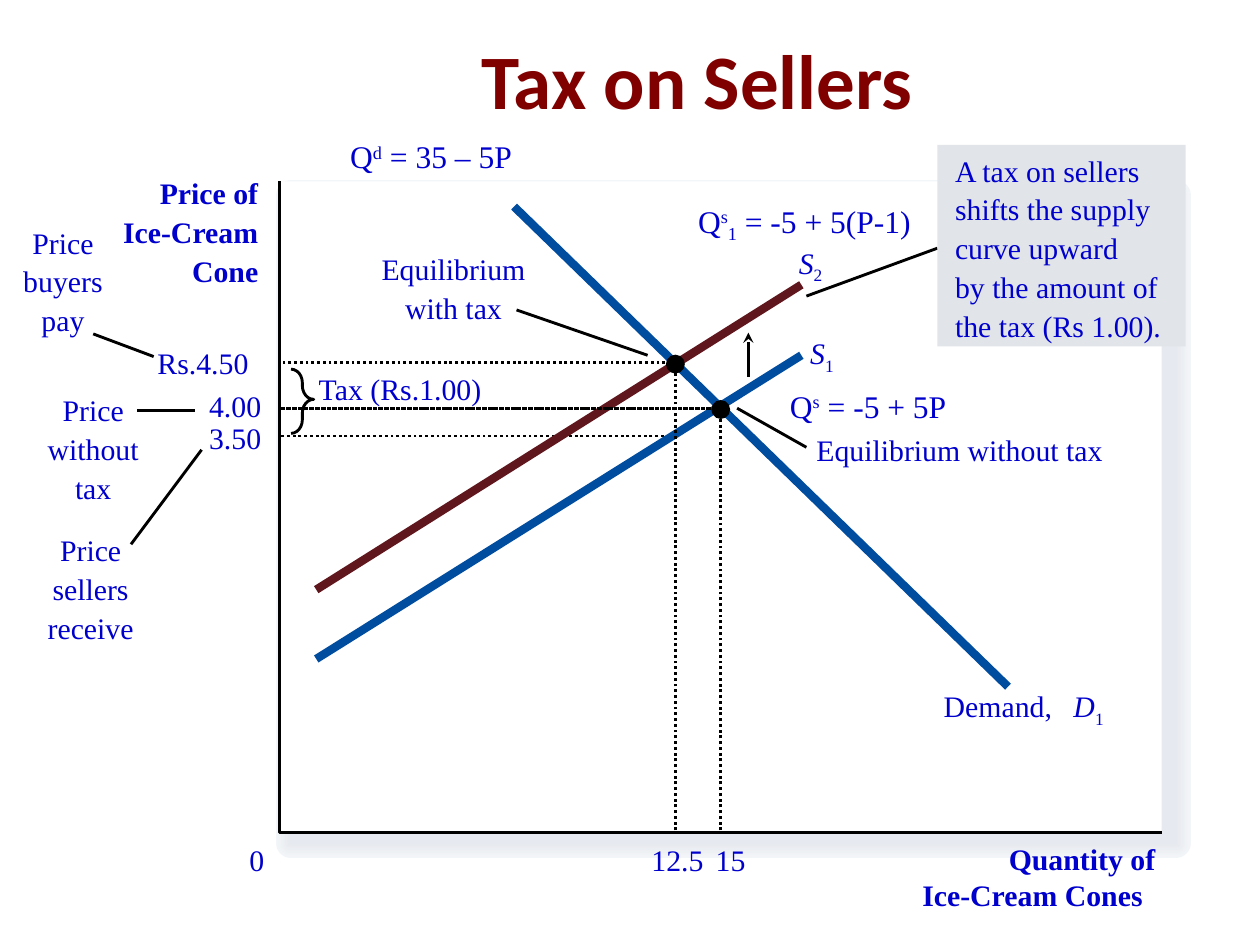
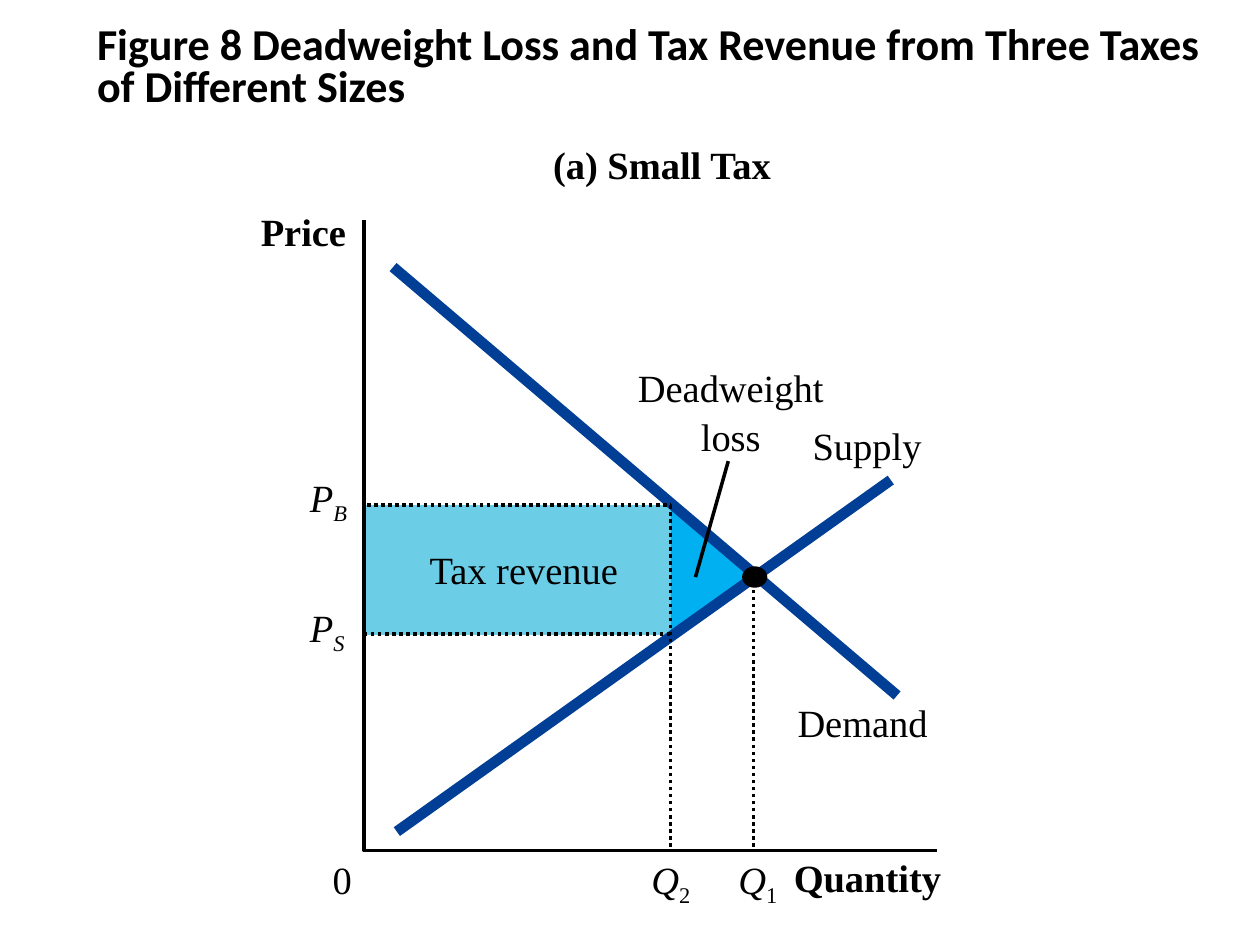
from lxml import etree
from pptx import Presentation
from pptx.dml.color import RGBColor
from pptx.enum.dml import MSO_LINE
from pptx.enum.shapes import MSO_CONNECTOR, MSO_SHAPE
from pptx.enum.text import MSO_ANCHOR, MSO_AUTO_SIZE, PP_ALIGN
from pptx.oxml.ns import qn
from pptx.util import Inches, Pt

LEFT, CENTER, RIGHT = PP_ALIGN.LEFT, PP_ALIGN.CENTER, PP_ALIGN.RIGHT
RECT, OVAL, BRACE = MSO_SHAPE.RECTANGLE, MSO_SHAPE.OVAL, MSO_SHAPE.RIGHT_BRACE
DOTTED = MSO_LINE.ROUND_DOT
TITLE_ONLY = 5

COLORS = {
    "black": "000000", "white": "FFFFFF", "title": "800000", "label": "0000CC",
    "curve": "004C9F", "taxed": "5F161D", "note": "E1E5E9",
    "navy": "003F95", "revenue": "6CCEE6", "loss": "00B0F0",
}
# Soft frame behind the first plot: line width and colour, widest first
FRAME = [(17.5, "F3F6F9"), (16, "F2F4F8"), (14.38, "F1F4F7"), (12.75, "F0F2F5"),
         (11.13, "EEF1F4"), (9.63, "EDEFF3"), (8, "EBEEF2"), (6.38, "EAECF1"),
         (4.75, "E9EBF0"), (3.25, "E7EAEF"), (1.63, "E6E9EF")]


def rgb(color):
    return RGBColor.from_string(COLORS.get(color, color))


def sub(text, italic=False):
    return text, {"baseline": -25, "italic": italic}


def sup(text):
    return text, {"baseline": 30}


def add_run(p, text, size=17, font="Times New Roman", color="black",
            bold=False, italic=False, baseline=0):
    r = p.add_run()
    r.text = text
    r.font.size, r.font.name = Pt(size), font
    r.font.bold, r.font.italic = bold, italic
    r.font.color.rgb = rgb(color)
    if baseline:
        r._r.get_or_add_rPr().set("baseline", str(baseline * 1000))


class Deck:
    """Holds the presentation, the current slide and its diagram style."""

    def __init__(self):
        self.prs = Presentation()
        self.prs.slide_width, self.prs.slide_height = Inches(10), Inches(7.5)

    def new_slide(self, size, color, width):
        """Start a slide with its label size, label colour and thin line width."""
        self.slide = self.prs.slides.add_slide(self.prs.slide_layouts[TITLE_ONLY])
        self.shapes = self.slide.shapes
        self.size, self.color, self.width = size, color, width

    def title(self, text, x, y, w, h, align=LEFT, spacing=1.0, **fmt):
        sp = self.shapes.title
        sp.left, sp.top, sp.width, sp.height = map(Inches, (x, y, w, h))
        tf = sp.text_frame
        tf.auto_size, tf.vertical_anchor = MSO_AUTO_SIZE.NONE, MSO_ANCHOR.MIDDLE
        p = tf.paragraphs[0]
        p.alignment, p.line_spacing = align, spacing
        add_run(p, text, font="Calibri", bold=True, **fmt)

    def label(self, x, y, *lines, align=LEFT, w=2.6, **fmt):
        """Text whose left edge, centre or right edge is at x, by alignment.

        A line is a string or a list of strings and (text, format) pairs.
        """
        fmt = {"size": self.size, "color": self.color, **fmt}
        left = x - {LEFT: 0, CENTER: w / 2, RIGHT: w}[align]
        h = fmt["size"] * 1.25 / 72 * len(lines)
        tf = self.shapes.add_textbox(*map(Inches, (left, y, w, h))).text_frame
        tf.word_wrap = True
        tf.margin_left = tf.margin_right = tf.margin_top = tf.margin_bottom = 0
        for n, line in enumerate(lines):
            p = tf.add_paragraph() if n else tf.paragraphs[0]
            p.alignment = align
            if n:
                p.space_before = Pt(1.75)
            for piece in [line] if isinstance(line, str) else line:
                text, extra = (piece, {}) if isinstance(piece, str) else piece
                add_run(p, text, **{**fmt, **extra})

    def paint(self, sp, fill=None, line=None, width=None, dash=None):
        sp.shadow.inherit = False
        if fill:
            sp.fill.solid()
            sp.fill.fore_color.rgb = rgb(fill)
        else:
            sp.fill.background()
        if line:
            self.stroke(sp.line, line, width, dash)
        else:
            sp.line.fill.background()

    def stroke(self, line, color, width=None, dash=None):
        line.color.rgb = rgb(color)
        line.width = Pt(width or self.width)
        if dash:
            line.dash_style = dash

    def shape(self, kind, x, y, w, h, **style):
        sp = self.shapes.add_shape(kind, *map(Inches, (x, y, w, h)))
        self.paint(sp, **style)
        return sp

    def dot(self, x, y, w=0.15, h=0.15):
        self.shape(OVAL, x - w / 2, y - h / 2, w, h, fill="black")

    def outline(self, *points, close=False, **style):
        first, *rest = [(Inches(x), Inches(y)) for x, y in points]
        builder = self.shapes.build_freeform(*first)
        builder.add_line_segments(rest, close=close)
        self.paint(builder.convert_to_shape(), **style)

    def line(self, x1, y1, x2, y2, color="black", width=None, dash=None, head=None):
        c = self.shapes.add_connector(MSO_CONNECTOR.STRAIGHT,
                                      *map(Inches, (x1, y1, x2, y2)))
        self.stroke(c.line, color, width, dash)
        if head:
            etree.SubElement(c.line._get_or_add_ln(), qn("a:headEnd"), type=head)
        etree.SubElement(c._element.spPr, qn("a:effectLst"))

    def axes(self, left, top, right, bottom):
        self.outline((left, top), (left, bottom), (right, bottom), line="black")

    def guide(self, x, y, axis_x, axis_y):
        """Dotted line from the quantity axis up to a point and across to price."""
        self.outline((x, axis_y), (x, y), (axis_x, y), line="black", dash=DOTTED)


def tax_on_sellers(deck):
    deck.new_slide(size=17, color="label", width=1.63)
    deck.title("Tax on Sellers", 1.5, 0, 8.07, 1.25, align=CENTER, size=44, color="title")

    for width, shade in FRAME:
        deck.shape(RECT, 2.31, 1.55, 7.02, 5.14, fill=shade, line=shade, width=width)
    left, top, right, bottom = 2.22, 1.44, 9.22, 6.61
    deck.shape(RECT, left, top, right - left, bottom - top, fill="white")
    deck.axes(left, top, right, bottom)
    deck.label(2.05, 1.39, "Price of", "Ice-Cream", "Cone", align=RIGHT, bold=True)
    deck.label(9.17, 6.67, "Quantity of", align=RIGHT, bold=True)
    deck.label(9.07, 6.96, "Ice-Cream Cones", align=RIGHT, bold=True)

    deck.line(5.94, 2.64, 5.94, 2.99, width=1.75, head="stealth")
    deck.line(5.36, 3.46, left, 3.46, dash=DOTTED)

    for x, y, lines, pointer in [
        (0.5, 1.78, ("Price", "buyers", "pay"), (0.74, 2.65, 1.22, 2.83)),
        (0.74, 3.11, ("Price", "without", "tax"), (1.09, 3.26, 1.55, 3.26)),
        (0.72, 4.22, ("Price", "sellers", "receive"), (1.04, 4.32, 1.6, 3.57)),
        (3.6, 1.99, ("Equilibrium", "with tax"), (4.1, 2.46, 5.14, 2.82)),
    ]:
        deck.line(*pointer)
        deck.label(x, y, *lines, align=CENTER, w=1.4)
    deck.line(5.85, 3.24, 6.4, 3.55)
    deck.label(6.48, 3.43, "Equilibrium without tax")

    brace = deck.shape(BRACE, 2.31, 2.93, 0.18, 0.51, line="black")
    brace.adjustments[0], brace.adjustments[1] = 0.6, 0.47
    deck.label(2.53, 2.94, "Tax (Rs.1.00)")

    deck.line(6.36, 2.82, 2.51, 5.23, color="curve", width=4.75)
    deck.line(6.36, 2.26, 2.51, 4.68, color="taxed", width=4.75)
    deck.line(4.08, 1.64, 8, 5.45, color="curve", width=4.75)
    deck.label(7.49, 5.46, "Demand,")
    for x, y, name, index in [(6.43, 2.66, "S", "1"), (6.34, 1.94, "S", "2"),
                              (8.52, 5.46, "D", "1")]:
        deck.label(x, y, [name, sub(index)], italic=True, w=0.5)

    deck.line(6.4, 2.35, 7.44, 1.97)
    deck.shape(RECT, 7.44, 1.15, 1.97, 1.6, fill="note")
    deck.label(7.58, 1.21, "A tax on sellers", "shifts the supply", "curve upward",
               "by the amount of", "the tax (Rs 1.00).")

    for x, y in [(5.72, 3.24), (5.36, 2.88)]:
        deck.guide(x, y, left, 6.59)
        deck.dot(x, y + 0.01)
    deck.line(5.72, 3.24, left, 3.24, dash=DOTTED)
    for x, y, text in [(1.25, 2.74, "Rs.4.50"), (1.66, 3.08, "4.00"),
                       (1.66, 3.33, "3.50"), (1.98, 6.68, "0"),
                       (5.17, 6.68, "12.5"), (5.68, 6.68, "15")]:
        deck.label(x, y, text, w=1)

    for x, y, formula in [
        (2.78, 1.09, ["Q", sup("d"), " = 35 – 5P"]),
        (6.27, 3.07, ["Q", sup("s"), " = -5 + 5P"]),
        (5.54, 1.6, ["Q", sup("s"), sub("1"), " = -5 + 5(P-1)"]),
    ]:
        deck.label(x, y, formula, size=18)


def deadweight_loss(deck):
    deck.new_slide(size=22, color="black", width=2)
    deck.title("Figure 8 Deadweight Loss and Tax Revenue from Three Taxes of "
               "Different Sizes", 0.67, 0.17, 9, 0.75, spacing=0.8, size=25.2)

    left, bottom = 2.89, 6.75
    q2, q1 = 5.32, 5.98
    buyers_price, sellers_price = 4.01, 5.03
    deck.shape(RECT, left, buyers_price, q2 - left, 1.03, fill="revenue")
    deck.label(3.41, 4.33, "Tax revenue")
    deck.outline((q2, 3.95), (q2, 5.06), (6.04, 4.58), close=True, fill="loss")
    deck.axes(left, 1.75, 7.44, bottom)

    deck.line(3.12, 2.12, 7.12, 5.52, color="navy", width=6.13)
    deck.label(6.33, 5.55, "Demand")
    deck.line(7.07, 3.81, 3.15, 6.6, color="navy", width=6.13)
    deck.label(6.45, 3.35, "Supply")

    deck.label(4.39, 1.12, "(a) Small Tax", bold=True)
    deck.label(2.07, 1.65, "Price", bold=True)
    deck.label(6.3, 6.78, "Quantity", bold=True)
    deck.label(2.64, 6.79, "0", w=0.5)

    deck.line(q1, 6.72, q1, 4.58, dash=DOTTED)
    deck.dot(q1 + 0.01, 4.58, 0.2, 0.17)
    deck.line(5.78, 3.66, 5.52, 4.58)
    deck.label(5.8, 2.89, "Deadweight", "loss", align=CENTER)
    deck.guide(q2, buyers_price, left, 6.72)
    deck.line(q2, sellers_price, left, sellers_price, dash=DOTTED)

    for x, y, name, index in [
        (2.46, 3.76, "P", sub("B", italic=True)), (2.46, 4.79, "P", sub("S", italic=True)),
        (5.17, 6.79, "Q", sub("2")), (5.86, 6.79, "Q", sub("1")),
    ]:
        deck.label(x, y, [name, index], italic=True, w=0.6)


def main():
    deck = Deck()
    tax_on_sellers(deck)
    deadweight_loss(deck)
    deck.prs.save("out.pptx")


if __name__ == "__main__":
    main()
